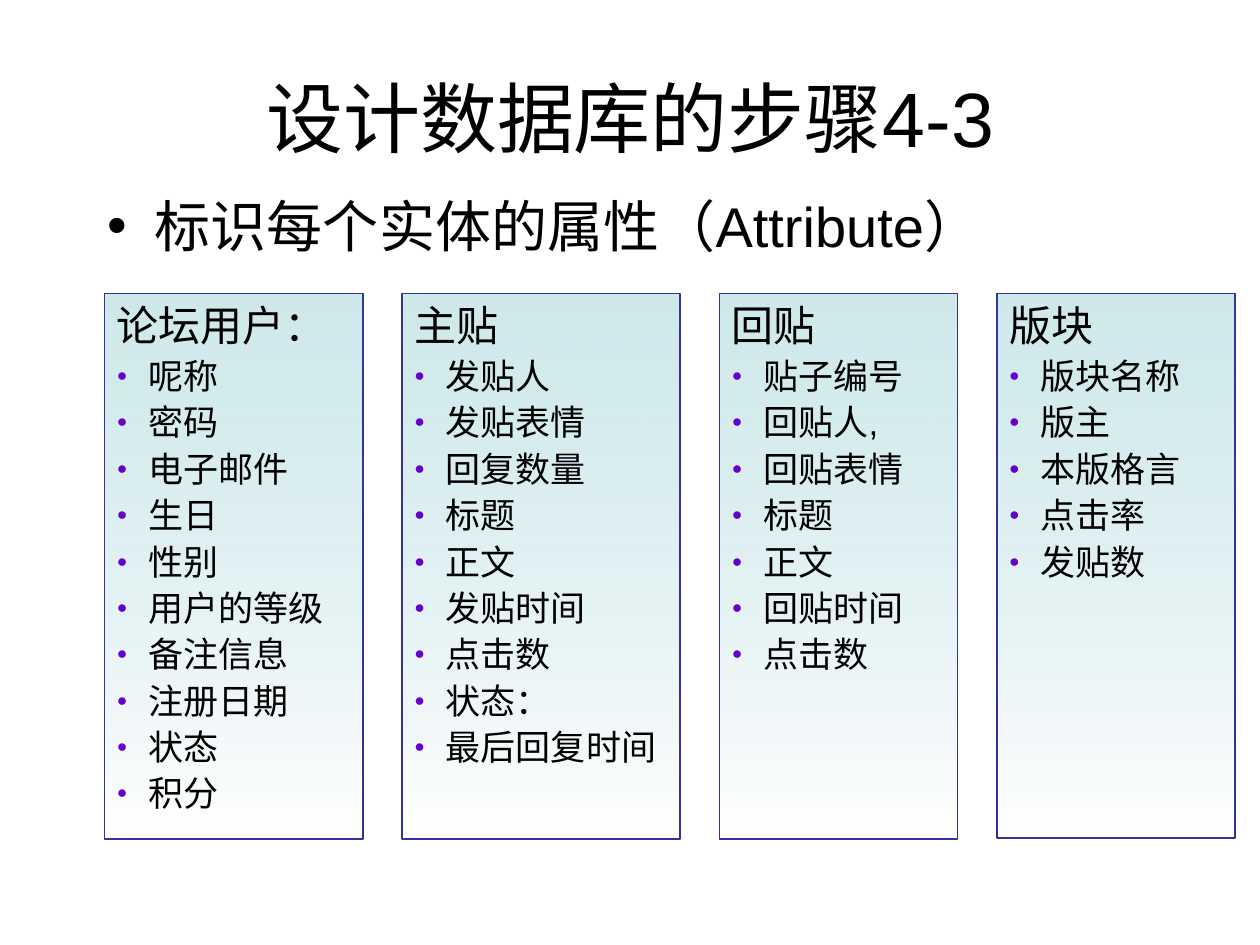
from lxml.etree import SubElement
from pptx import Presentation
from pptx.dml.color import RGBColor as RGB
from pptx.enum.shapes import MSO_SHAPE as Shape
from pptx.enum.text import MSO_ANCHOR as Anchor, MSO_AUTO_SIZE as Fit, PP_ALIGN as Align
from pptx.oxml.ns import qn
from pptx.util import Inches, Pt

HUE = {"text": "000000", "dot": "6600CC", "edge": "333399", "top": "BBE0E3", "base": "FFFFFF"}


def style(para, size, align=Align.LEFT):
    para.alignment = align
    para.space_before = Pt(0)
    para.font.size = Pt(size)
    para.font.name = "Arial"
    para.font.color.rgb = RGB.from_string(HUE["text"])


def indent(para, width, char=None, hue="text", scale=100):
    props = para._p.get_or_add_pPr()
    props.set("marL", str(Inches(width)))
    props.set("indent", str(-Inches(width)))
    if char:
        color = SubElement(props, qn("a:buClr"))
        SubElement(color, qn("a:srgbClr"), val=HUE[hue])
        SubElement(props, qn("a:buSzPct"), val=str(scale * 1000))
        SubElement(props, qn("a:buFont"), typeface="Arial")
        SubElement(props, qn("a:buChar"), char=char)


deck = Presentation()
deck.slide_width, deck.slide_height = Inches(10), Inches(7.5)
slide = deck.slides.add_slide(deck.slide_layouts[1])

# Title
title = slide.shapes.title
title.left, title.top, title.width, title.height = map(Inches, (0.5, 0.3, 9, 1.25))
title.text_frame.text = "设计数据库的步骤4-3"
title.text_frame.vertical_anchor = Anchor.MIDDLE
style(title.text_frame.paragraphs[0], 44, Align.CENTER)

# Lead bullet
lead = slide.placeholders[1]
lead.left, lead.top, lead.width, lead.height = map(Inches, (0.75, 1.47, 9, 0.86))
lead.text_frame.text = "标识每个实体的属性（Attribute）"
lead.text_frame.auto_size = Fit.NONE
para = lead.text_frame.paragraphs[0]
indent(para, 0.38, "•")
style(para, 32)

# Entity cards: heading, width, height, attributes
cards = [
    ("论坛用户：", 2.05, 4.33, ["呢称", "密码", "电子邮件", "生日", "性别", "用户的等级",
                          "备注信息", "注册日期", "状态", "积分"]),
    ("主贴", 2.21, 4.33, ["发贴人", "发贴表情", "回复数量", "标题", "正文", "发贴时间",
                        "点击数", "状态：", "最后回复时间"]),
    ("回贴", 1.89, 4.33, ["贴子编号", "回贴人,", "回贴表情", "标题", "正文", "回贴时间", "点击数"]),
    ("版块", 1.89, 4.32, ["版块名称", "版主", "本版格言", "点击率", "发贴数"]),
]
left, gap = 0.83, 0.31
for head, width, height, items in cards:
    card = slide.shapes.add_shape(Shape.RECTANGLE, Inches(left), Inches(2.33),
                                  Inches(width), Inches(height))
    left += width + gap
    card.shadow.inherit = False
    card.line.color.rgb = RGB.from_string(HUE["edge"])
    card.line.width = Pt(1)

    # Downward fade, see-through at the top
    card.fill.gradient()
    card.fill.gradient_angle = 270
    for stop, key, place in zip(card.fill.gradient_stops, ("top", "base"), (0, 1)):
        stop.color.rgb = RGB.from_string(HUE[key])
        stop.position = place
    tint = card._element.spPr.find(".//" + qn("a:srgbClr"))
    SubElement(tint, qn("a:alpha"), val="70000")

    # Heading and attribute list
    frame = card.text_frame
    frame.word_wrap = True
    frame.vertical_anchor = Anchor.TOP
    para = frame.paragraphs[0]
    para.text = head
    indent(para, 0.25)
    style(para, 24)
    for item in items:
        para = frame.add_paragraph()
        para.text = item
        indent(para, 0.25, "●", "dot", 50)
        style(para, 20)
        para.space_before = Pt(2.5)

deck.save("out.pptx")
